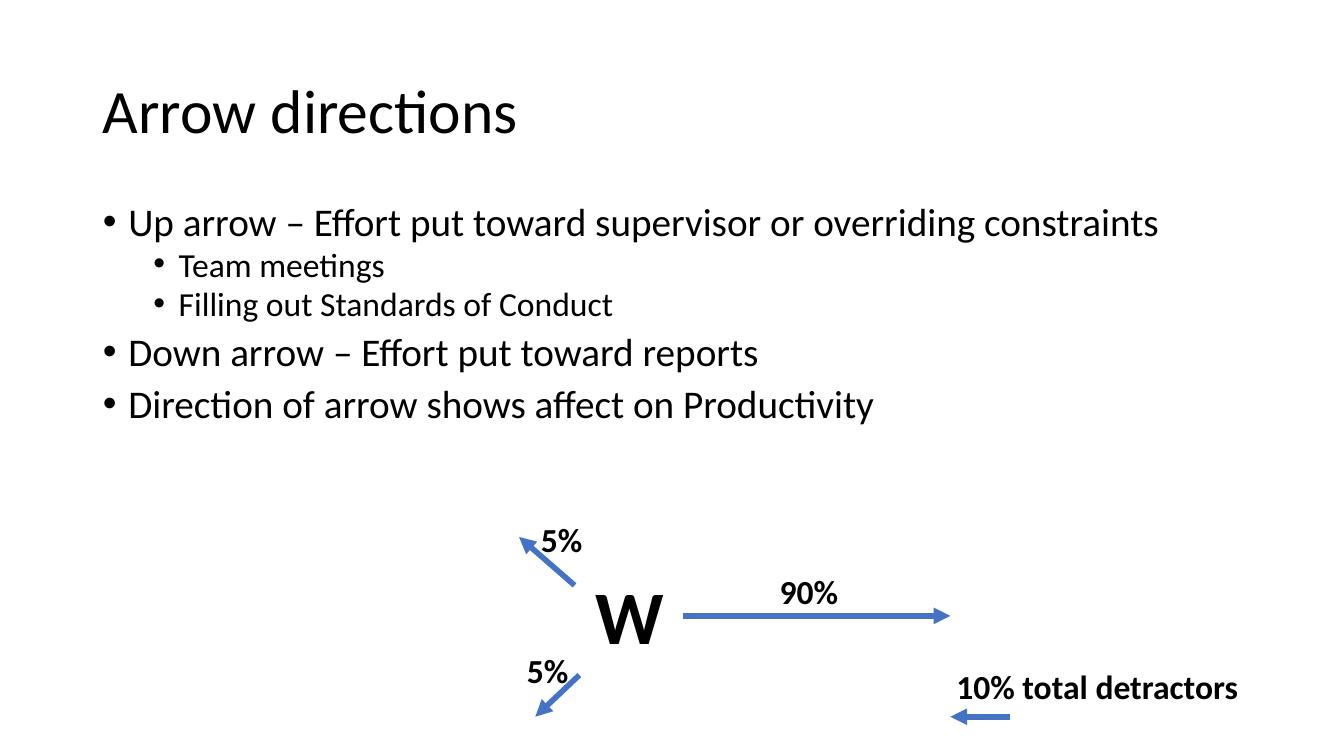
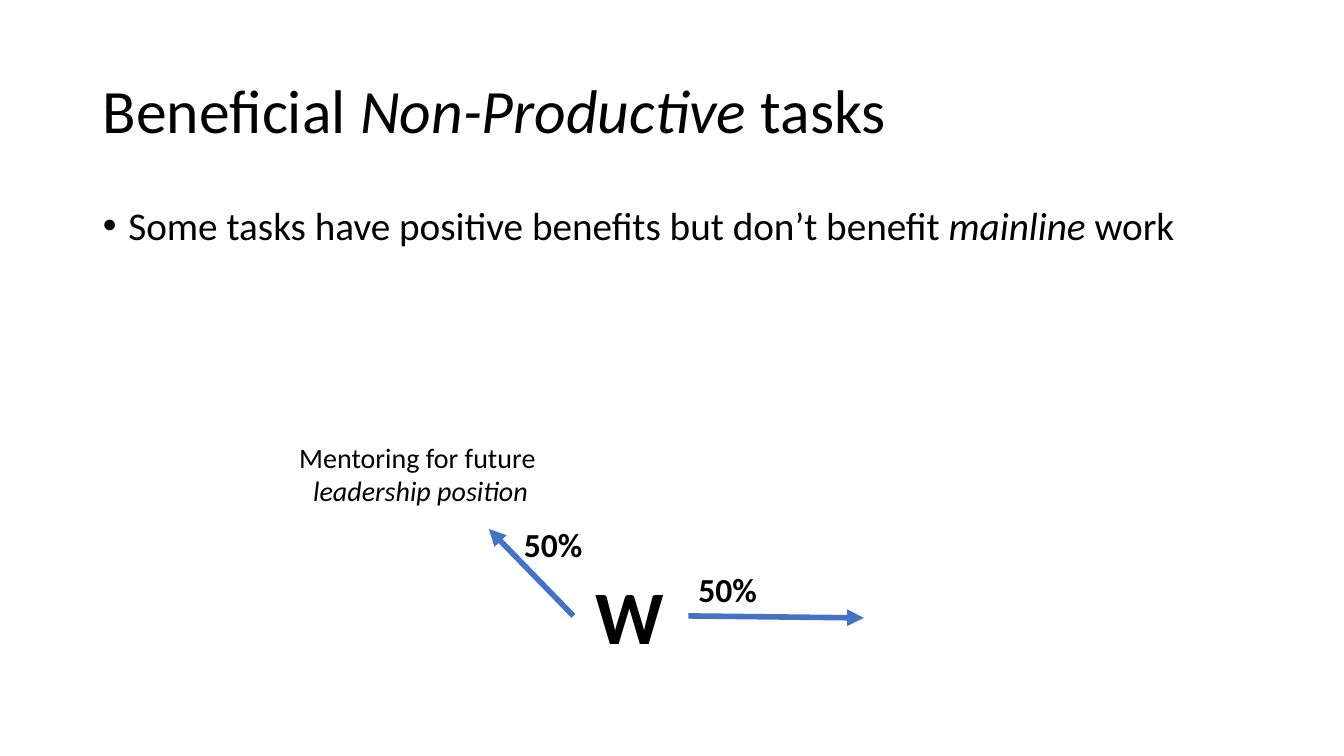
import pptx
import pptx.util
import pptx.oxml.ns
import pptx.dml.color
import pptx.enum.shapes
import pptx.enum.text
import lxml.etree

Cm, Pt = pptx.util.Cm, pptx.util.Pt
ALIGN = pptx.enum.text.PP_ALIGN
FIT = pptx.enum.text.MSO_AUTO_SIZE
FONT = "Calibri"
COLORS = {"text": "000000", "arrow": "4472C4"}

# Boxes are left, top, width, height in centimetres
TITLE = (2.34, 1.02, 29.21, 3.68)
HUB = (14.73, 14.22, 2.26, 2.56)
LEVELS = [  # size, space before, text indent
    (28, 10, 0.64),
    (24, 5, 1.91),
]
HANG = 0.64


def color(name):
    """Return a palette colour."""
    return pptx.dml.color.RGBColor.from_string(COLORS[name])


def mark(parent, tag, **attrs):
    """Append a drawing element to an XML parent."""
    lxml.etree.SubElement(parent, pptx.oxml.ns.qn(tag), attrs)


def place(shape, box):
    """Move and size a shape to a box."""
    shape.left, shape.top, shape.width, shape.height = map(Cm, box)


def write(para, parts, size, bold=False):
    """Fill a paragraph; every second part is italic."""
    para.text = parts[0]
    for part in parts[1:]:
        para.add_run().text = part
    for i, run in enumerate(para.runs):
        font = run.font
        font.name, font.size, font.bold = FONT, Pt(size), bold
        font.italic = i % 2 == 1
        font.color.rgb = color("text")


def head(slide, parts, box=TITLE):
    """Set the slide title."""
    title = slide.shapes.title
    place(title, box)
    frame = title.text_frame
    frame.auto_size = FIT.NONE
    frame.vertical_anchor = pptx.enum.text.MSO_ANCHOR.MIDDLE
    para = frame.paragraphs[0]
    write(para, parts, 44)
    para.alignment = ALIGN.LEFT
    para.line_spacing = 0.9


def points(slide, items, box, pitch):
    """Fill the body with bullets given as (level, parts)."""
    body = slide.placeholders[1]
    place(body, box)
    frame = body.text_frame
    frame.auto_size = FIT.NONE
    frame.text = "\n".join(parts[0] for level, parts in items)
    for para, (level, parts) in zip(frame.paragraphs, items):
        size, gap, indent = LEVELS[level]
        write(para, parts, size)
        para.level = level
        para.line_spacing = pitch
        para.space_before = Pt(gap)
        props = para._p.get_or_add_pPr()
        props.set("marL", str(Cm(indent)))
        props.set("indent", str(-Cm(HANG)))
        mark(props, "a:buChar", char="\u2022")


def label(slide, text, box, size=24, bold=True, align=ALIGN.LEFT):
    """Add an unwrapped text label."""
    frame = slide.shapes.add_textbox(*map(Cm, box)).text_frame
    frame.word_wrap = False
    frame.auto_size = FIT.SHAPE_TO_FIT_TEXT
    para = frame.paragraphs[0]
    write(para, [text], size, bold)
    para.alignment = align


def arrow(slide, start, end):
    """Draw an arrow that points at its end."""
    line = slide.shapes.add_connector(
        pptx.enum.shapes.MSO_CONNECTOR.STRAIGHT, *map(Cm, start + end))
    line.line.color.rgb = color("arrow")
    line.line.width = Pt(4)
    mark(line.get_or_add_ln(), "a:tailEnd", type="triangle")
    mark(line._element.spPr, "a:effectLst")


def worker(slide, arrows, shares, box=HUB):
    """Draw the W with arrows and share labels around it."""
    left, top = box[:2]
    label(slide, "W", box, 54, align=ALIGN.CENTER)
    for x1, y1, x2, y2 in arrows:
        arrow(slide, (left + x1, top + y1), (left + x2, top + y2))
    for text, x, y, width in shares:
        label(slide, text, (left + x, top + y, width, 1.27))


def directions(deck):
    """Build the slide on arrow directions."""
    slide = deck.slides.add_slide(deck.slide_layouts[1])
    head(slide, ["Arrow directions"])
    points(slide, [
        (0, ["Up arrow \u2013 Effort put toward supervisor or overriding constraints"]),
        (1, ["Team meetings"]),
        (1, ["Filling out Standards of Conduct"]),
        (0, ["Down arrow \u2013 Effort put toward reports"]),
        (0, ["Direction of arrow shows affect on Productivity"]),
    ], (2.34, 5.08, 29.21, 5.84), 0.8)
    worker(slide, [
        (2.49, 1.3, 9.22, 1.3),
        (-0.25, 0.53, -1.65, -0.69),
        (-0.13, 2.79, -1.24, 3.84),
        (10.72, 3.84, 9.22, 3.84),
    ], [
        ("90%", 4.67, 0.05, 2.01),
        ("5%", -1.35, -1.27, 1.57),
        ("5%", -1.7, 2.03, 1.57),
        ("10% total detractors", 9.12, 2.44, 7.7),
    ])


def benefits(deck):
    """Build the slide on beneficial tasks."""
    slide = deck.slides.add_slide(deck.slide_layouts[1])
    head(slide, ["Beneficial ", "Non-Productive ", "tasks"])
    points(slide, [
        (0, ["Some tasks have positive benefits but don\u2019t benefit ",
             "mainline", " work"]),
    ], (2.34, 5.08, 29.21, 4.06), 0.9)
    worker(slide, [
        (2.62, 1.3, 7.04, 1.35),
        (-0.28, 1.3, -2.41, -0.89),
    ], [
        ("50%", 2.62, 0, 2.01),
        ("50%", -1.78, -1.14, 2.01),
    ])
    label(slide, "Mentoring for future \vleadership position",
          (7.26, 10.97, 6.68, 1.96), 20, False, ALIGN.CENTER)


def main():
    """Build and save the deck."""
    deck = pptx.Presentation()
    deck.slide_width, deck.slide_height = Cm(33.87), Cm(19.05)
    directions(deck)
    benefits(deck)
    deck.save("out.pptx")


main()
